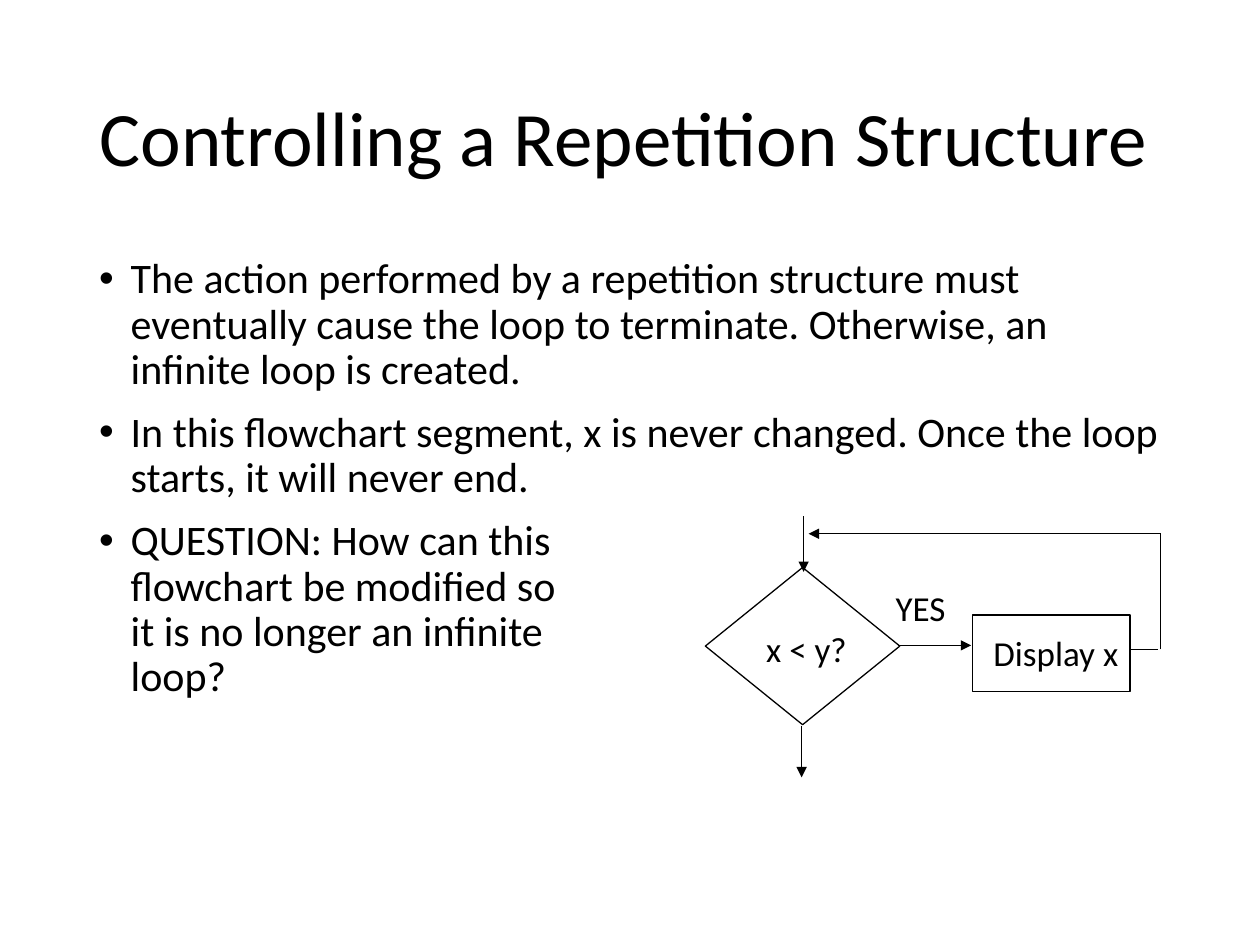
from dataclasses import dataclass

from lxml import etree
from pptx import Presentation
from pptx.dml.color import RGBColor
from pptx.enum.shapes import MSO_CONNECTOR, MSO_SHAPE
from pptx.enum.text import MSO_ANCHOR, MSO_AUTO_SIZE, PP_ALIGN
from pptx.oxml.ns import qn
from pptx.util import Cm, Pt


@dataclass(frozen=True)
class Theme:
    font: str = "Calibri"
    ink: RGBColor = RGBColor(0, 0, 0)
    paper: RGBColor = RGBColor(255, 255, 255)
    title_size: int = 44
    body_size: int = 24
    label_size: int = 20
    line_width: float = 0.75


class SlideBuilder:
    def __init__(self, slide, theme):
        self.slide = slide
        self.theme = theme
        slide.background.fill.solid()
        slide.background.fill.fore_color.rgb = theme.paper

    def style_text(self, paragraph, text, size, align=PP_ALIGN.LEFT):
        paragraph.text = text
        paragraph.alignment = align
        for run in paragraph.runs:
            run.font.name = self.theme.font
            run.font.size = Pt(size)
            run.font.color.rgb = self.theme.ink

    def title(self, text, left, top, width, height):
        title = self.slide.shapes.title
        title.left, title.top = Cm(left), Cm(top)
        title.width, title.height = Cm(width), Cm(height)
        frame = title.text_frame
        frame.auto_size = MSO_AUTO_SIZE.NONE
        frame.vertical_anchor = MSO_ANCHOR.MIDDLE
        self.style_text(frame.paragraphs[0], text, self.theme.title_size)
        frame.paragraphs[0].line_spacing = 0.9

    def text_box(self, left, top, width, height):
        box = self.slide.shapes.add_textbox(Cm(left), Cm(top), Cm(width), Cm(height))
        box.text_frame.word_wrap = True
        return box.text_frame

    def bullets(self, items, left, top, width, height):
        frame = self.text_box(left, top, width, height)
        for index, item in enumerate(items):
            paragraph = frame.add_paragraph() if index else frame.paragraphs[0]
            self.style_text(paragraph, item, self.theme.body_size)
            paragraph.line_spacing = 0.9
            paragraph.space_before = Pt(10)
            properties = paragraph._p.get_or_add_pPr()
            indent = Cm(0.635)
            properties.set("marL", str(indent))
            properties.set("indent", str(-indent))
            etree.SubElement(properties, qn("a:buFont"), typeface="Arial")
            etree.SubElement(properties, qn("a:buChar"), char="•")

    def label(self, text, left, top, width, height=1.09):
        frame = self.text_box(left, top, width, height)
        self.style_text(frame.paragraphs[0], text, self.theme.label_size, PP_ALIGN.CENTER)

    def outline(self, item):
        item.line.color.rgb = self.theme.ink
        item.line.width = Pt(self.theme.line_width)

    def node(self, kind, left, top, width, height):
        shape = self.slide.shapes.add_shape(kind, Cm(left), Cm(top), Cm(width), Cm(height))
        shape.shadow.inherit = False
        shape.fill.background()
        self.outline(shape)

    def line(self, start, end, arrow=False):
        points = [Cm(value) for value in (*start, *end)]
        connector = self.slide.shapes.add_connector(MSO_CONNECTOR.STRAIGHT, *points)
        self.outline(connector)
        properties = connector._element.spPr
        if arrow:
            etree.SubElement(properties.find(qn("a:ln")), qn("a:tailEnd"), type="triangle")
        etree.SubElement(properties, qn("a:effectLst"))


presentation = Presentation()
presentation.slide_width, presentation.slide_height = Cm(25.4), Cm(19.05)
builder = SlideBuilder(presentation.slides.add_slide(presentation.slide_layouts[5]), Theme())

builder.title("Controlling a Repetition Structure", 1.75, 1.01, 21.9, 3.68)
builder.bullets(
    [
        "The action performed by a repetition structure must eventually cause the loop "
        "to terminate. Otherwise, an infinite loop is created.",
        "In this flowchart segment, x is never changed. Once the loop starts, it will never end.",
        "QUESTION: How can this\vflowchart be modified so\vit is no longer an infinite\vloop?",
    ],
    1.75, 5.07, 21.9, 12.09,
)

builder.node(MSO_SHAPE.FLOWCHART_DECISION, 14.22, 11.44, 3.92, 3.17)
builder.node(MSO_SHAPE.RECTANGLE, 19.6, 12.4, 3.18, 1.54)

loop_right, loop_top, loop_bottom = 23.4, 10.76, 13.09
builder.line((16.2, 10.41), (16.2, 11.53), arrow=True)
builder.line((16.16, 14.63), (16.16, 15.67), arrow=True)
builder.line((18.1, 13.01), (19.58, 13.01), arrow=True)
builder.line((22.78, loop_bottom), (23.35, loop_bottom))
builder.line((loop_right, loop_bottom), (loop_right, loop_top))
builder.line((loop_right, loop_top), (16.3, loop_top), arrow=True)

builder.label("x < y?", 14.94, 12.53, 2.64)
builder.label("Display x", 19.48, 12.6, 3.61)
builder.label("YES", 17.48, 11.69, 2.16)

presentation.save("out.pptx")
